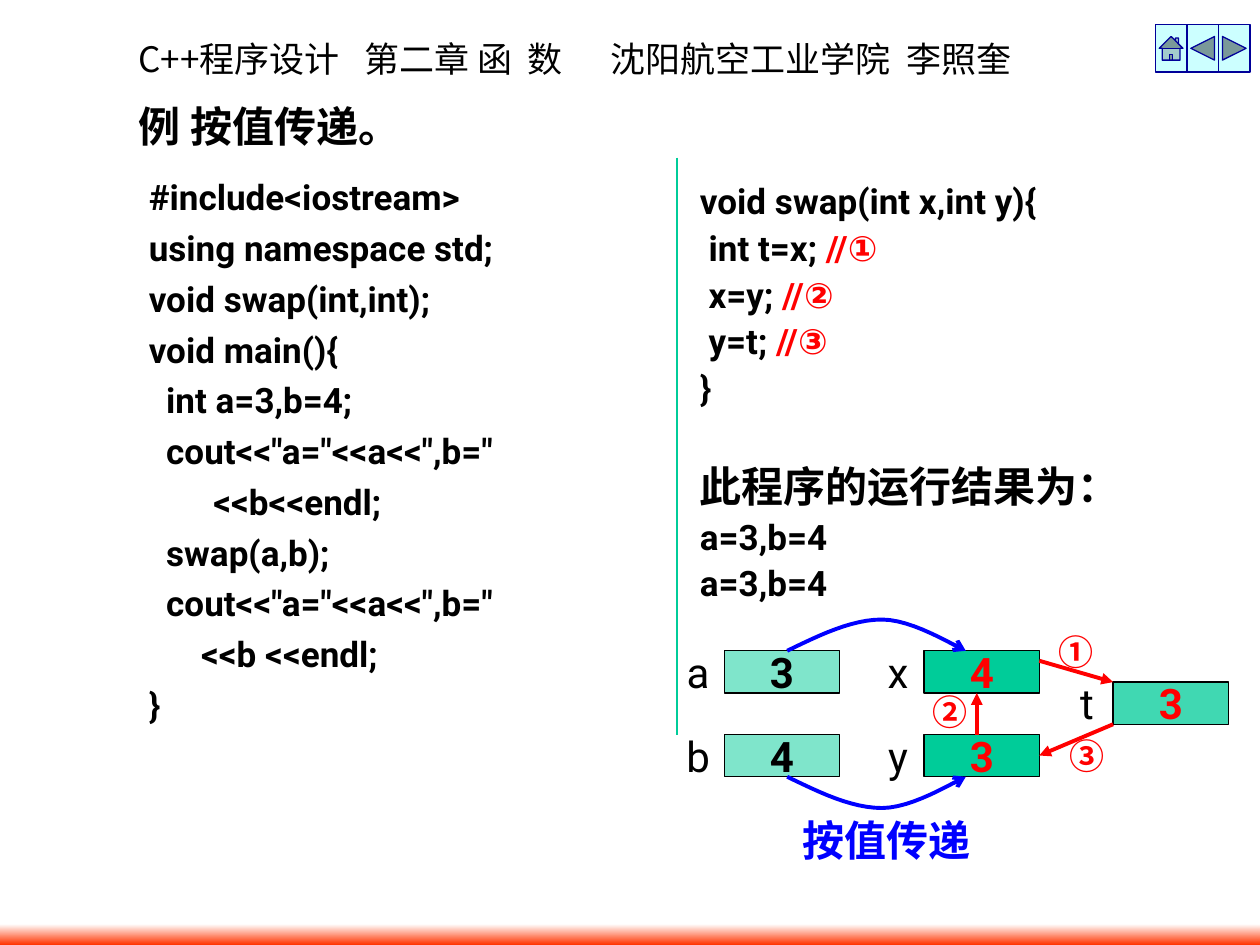
from lxml import etree
from pptx import Presentation
from pptx import util as u
from pptx.dml import color as dml
from pptx.enum import shapes, text
from pptx.oxml import ns

COLORS = {
    "black": "000000", "white": "FFFFFF", "red": "FF0000", "blue": "0000FF",
    "green": "00CC99", "navy": "000099", "ice": "CCFFFF", "orange": "FF3300",
}
LATIN, CHINESE, JAPANESE = "Roboto", "Noto Sans CJK SC", "Noto Sans CJK JP"
CELL_WIDTH, CELL_HEIGHT, LABEL_HEIGHT = 2.33, 0.85, 1.27


def rgb(name):
    return dml.RGBColor.from_string(COLORS[name])


def cm(*values):
    return [u.Cm(value) for value in values]


def add_element(parent, tag, **attributes):
    return etree.SubElement(parent, ns.qn(tag), attributes)


def set_font(font, name, size=20, color="black", bold=False):
    font.size, font.bold, font.name = u.Pt(size), bold, name
    font.color.rgb = rgb(color)
    east_asian = etree.Element(ns.qn("a:ea"), typeface=name)
    font._element.find(ns.qn("a:latin")).addnext(east_asian)


def add_text_box(slide, box):
    frame = slide.shapes.add_textbox(*cm(*box)).text_frame
    frame.word_wrap = True
    return frame


def add_lines(frame, lines, spacing=None, before=5):
    """Each line is a list of (text, colour) runs."""
    for index, runs in enumerate(lines):
        paragraph = frame.paragraphs[0] if index == 0 else frame.add_paragraph()
        properties = paragraph._p.get_or_add_pPr()
        properties.set("marL", str(u.Cm(0.95)))
        properties.set("indent", str(-u.Cm(0.95)))
        paragraph.line_spacing = spacing
        paragraph.space_before = u.Pt(before if index else 0)
        set_font(paragraph.font, LATIN, 20, bold=True)
        for words, color in runs:
            run = paragraph.add_run()
            run.text = words
            if color != "black":
                run.font.color.rgb = rgb(color)


def write_centered(frame, words, name, size, color, bold):
    frame.vertical_anchor = text.MSO_ANCHOR.MIDDLE
    paragraph = frame.paragraphs[0]
    paragraph.text = words
    paragraph.alignment = text.PP_ALIGN.CENTER
    set_font(paragraph.font, name, size, color, bold)


def add_label(slide, left, top, words, name=LATIN, size=24, color="black", bold=False,
              width=CELL_WIDTH):
    frame = add_text_box(slide, (left, top, width, LABEL_HEIGHT))
    write_centered(frame, words, name, size, color, bold)


def style_line(shape, color, width, head=None):
    shape.line.color.rgb = rgb(color)
    shape.line.width = u.Pt(width)
    if head:
        add_element(shape.line._get_or_add_ln(), "a:tailEnd", type=head)


def add_line(slide, start, end, color, width, head=None):
    line = slide.shapes.add_connector(shapes.MSO_CONNECTOR.STRAIGHT, *cm(*start, *end))
    style_line(line, color, width, head)
    add_element(line._element.spPr, "a:effectLst")


def add_header(slide, box):
    paragraph = add_text_box(slide, box).paragraphs[0]
    tabs = add_element(paragraph._p.get_or_add_pPr(), "a:tabLst")
    for position in (4.55, 7.85, 9.52, 15.48):
        add_element(tabs, "a:tab", pos=str(u.Cm(position)), algn="l")
    for words, name in (("C++程序设计", JAPANESE), ("\t第二章 函\t数", CHINESE),
                        ("\t沈阳航空工业学院", JAPANESE), ("\t李照奎", CHINESE)):
        run = paragraph.add_run()
        run.text = words
        set_font(run.font, name)


def add_navigation(slide, box):
    left, top, width, height = box
    kinds = shapes.MSO_SHAPE
    buttons = (kinds.ACTION_BUTTON_HOME, kinds.ACTION_BUTTON_BACK_OR_PREVIOUS,
               kinds.ACTION_BUTTON_FORWARD_OR_NEXT)
    step = width / len(buttons)
    for index, kind in enumerate(buttons):
        button = slide.shapes.add_shape(kind, *cm(left + index * step, top, step, height))
        button.shadow.inherit = False
        button.fill.solid()
        button.fill.fore_color.rgb = rgb("ice")
        style_line(button, "navy", 0.75)


def add_footer_bar(slide, box):
    bar = slide.shapes.add_shape(shapes.MSO_SHAPE.RECTANGLE, *cm(*box))
    bar.shadow.inherit = False
    bar.line.fill.background()
    bar.fill.gradient()
    bar.fill.gradient_angle = 270
    for stop, color in zip(bar.fill.gradient_stops, ("white", "orange")):
        stop.color.rgb = rgb(color)


def add_title(slide, box):
    title = slide.shapes.title
    title.left, title.top, title.width, title.height = cm(*box)
    frame = title.text_frame
    frame.auto_size = text.MSO_AUTO_SIZE.NONE
    frame.vertical_anchor = text.MSO_ANCHOR.TOP
    paragraph = frame.paragraphs[0]
    paragraph.text = "例 按值传递。"
    paragraph.alignment = text.PP_ALIGN.LEFT
    set_font(paragraph.font, CHINESE, 24, bold=True)


def add_main_code(slide, box):
    code = ("#include<iostream>", "using namespace std;", "void swap(int,int);",
            "void main(){", "  int a=3,b=4;", '  cout<<"a="<<a<<",b="',
            "\t  <<b<<endl;", "  swap(a,b);", '  cout<<"a="<<a<<",b="',
            "      <<b <<endl;", "}")
    add_lines(add_text_box(slide, box), [[(line, "black")] for line in code])


def add_swap_code(slide, box):
    code = (("void swap(int x,int y){", ""), (" int t=x; ", "//①"), (" x=y; ", "//②"),
            (" y=t; ", "//③"), ("}", ""), ("此程序的运行结果为：", ""),
            ("a=3,b=4", ""), ("a=3,b=4", ""))
    frame = add_text_box(slide, box)
    add_lines(frame, [[(words, "black")] + ([(note, "red")] if note else [])
                      for words, note in code], spacing=0.9)
    heading = frame.paragraphs[5]
    heading.space_before = u.Pt(32.6)
    heading.font.size = u.Pt(24)


def add_cell(slide, left, top, name, value, color, opacity):
    cell = slide.shapes.add_shape(shapes.MSO_SHAPE.RECTANGLE,
                                  *cm(left, top, CELL_WIDTH, CELL_HEIGHT))
    cell.shadow.inherit = False
    cell.fill.solid()
    cell.fill.fore_color.rgb = rgb("green")
    fill_color = cell._element.spPr.find(".//" + ns.qn("a:srgbClr"))
    add_element(fill_color, "a:alpha", val=str(opacity * 1000))
    style_line(cell, "black", 0.75)
    write_centered(cell.text_frame, value, LATIN, 24, color, True)
    add_label(slide, left - 1.69, top - 0.21, name)


def bezier(points, steps=12):
    for step in range(1, steps + 1):
        t = step / steps
        weights = ((1 - t) ** 3, 3 * t * (1 - t) ** 2, 3 * t * t * (1 - t), t ** 3)
        yield tuple(sum(w * point[axis] for w, point in zip(weights, points))
                    for axis in (0, 1))


def add_copy_curve(slide, points):
    curve_points = [*bezier(points[:4]), *bezier(points[3:])]
    builder = slide.shapes.build_freeform(*cm(*points[0]))
    builder.add_line_segments([cm(*point) for point in curve_points], close=False)
    curve = builder.convert_to_shape()
    curve.shadow.inherit = False
    curve.fill.background()
    style_line(curve, "blue", 2.25, "arrow")


def add_memory_diagram(slide, box):
    left, top, width, height = box

    # Variables
    for x, y, name, value, color, opacity in (
            (1.7, 0.63, "a", "3", "black", 50), (1.7, 2.32, "b", "4", "black", 50),
            (5.73, 0.63, "x", "4", "red", 100), (5.73, 2.32, "y", "3", "red", 100),
            (9.54, 1.26, "t", "3", "red", 75)):
        add_cell(slide, left + x, top + y, name, value, color, opacity)

    # Passing by value: the lower curve mirrors the upper one
    arc = ((2.97, 0.63), (3.63, 0.31), (4.27, 0), (4.88, 0), (5.49, 0), (6.3, 0.51),
           (6.57, 0.63))
    add_copy_curve(slide, [(left + x, top + y) for x, y in arc])
    add_copy_curve(slide, [(left + x, top + height - y) for x, y in arc])
    add_label(slide, left + 2.48, top + height, "按值传递", color="blue", bold=True,
              width=5)

    # Swap steps
    for number, (x1, y1), (x2, y2), (x, y) in (
            ("①", (8.05, 0.83), (9.54, 1.26), (7.63, 0)),
            ("②", (6.79, 2.32), (6.79, 1.48), (5.09, 1.22)),
            ("③", (9.54, 2.11), (8.05, 2.74), (7.84, 2.11))):
        add_line(slide, (left + x1, top + y1), (left + x2, top + y2), "red", 2.25,
                 "triangle")
        add_label(slide, left + x, top + y, number, CHINESE, 20, "red", True)


def main():
    presentation = Presentation()
    presentation.slide_width, presentation.slide_height = cm(25.4, 19.05)
    slide = presentation.slides.add_slide(presentation.slide_layouts[5])
    add_header(slide, (2.54, 0.64, 20.96, 1.11))
    add_footer_bar(slide, (0, 18.63, 25.4, 0.42))
    add_navigation(slide, (23.29, 0.5, 1.91, 0.95))
    add_title(slide, (2.54, 1.9, 16.51, 1.27))
    add_main_code(slide, (2.75, 3.42, 10.46, 11.57))
    add_swap_code(slide, (13.86, 3.6, 10.46, 8.7))
    add_line(slide, (13.65, 3.18), (13.65, 14.82), "green", 0.75)
    add_memory_diagram(slide, (12.9, 12.49, 11.87, 3.8))
    presentation.save("out.pptx")


if __name__ == "__main__":
    main()
